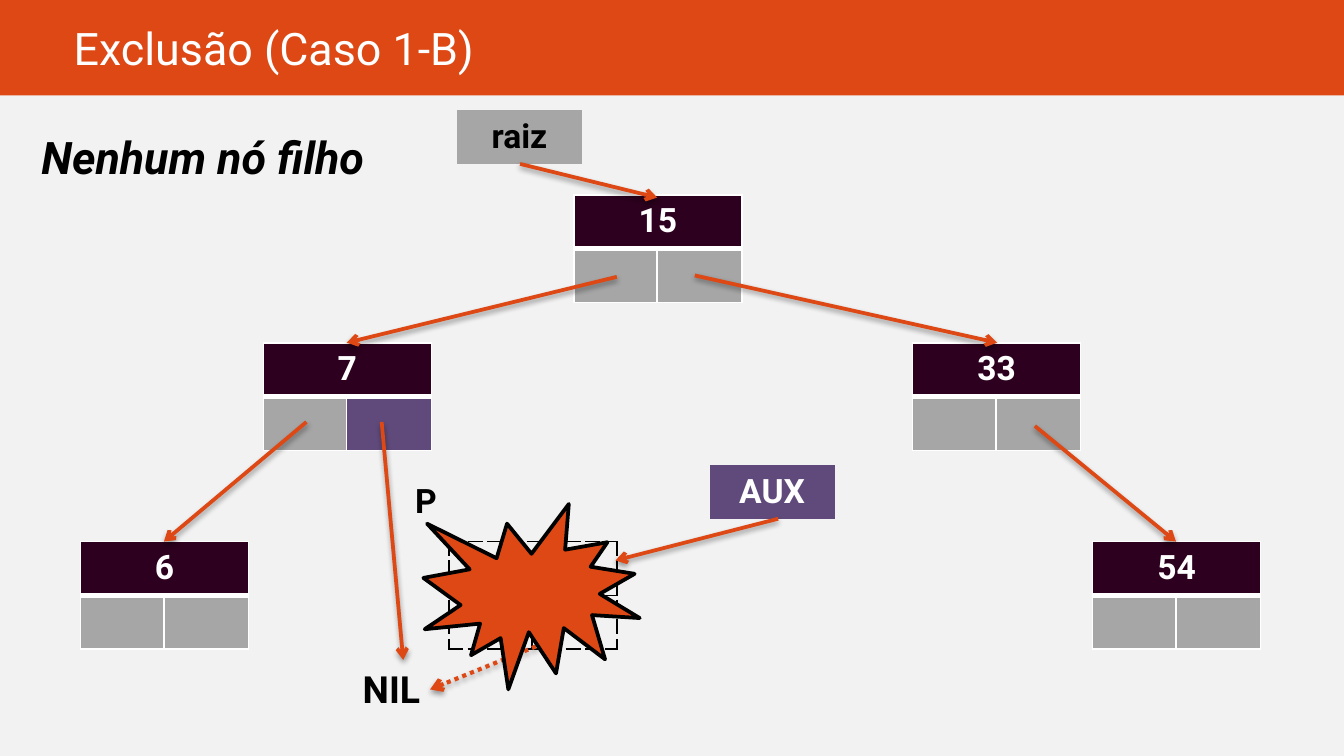
from dataclasses import dataclass

from lxml.etree import SubElement as Sub
from pptx import Presentation
from pptx.dml.color import RGBColor
from pptx.enum.dml import MSO_LINE as Dash
from pptx.enum.shapes import MSO_CONNECTOR as Conn, MSO_SHAPE as Shape
from pptx.enum.text import MSO_ANCHOR as Anchor, PP_ALIGN as Align
from pptx.oxml.ns import qn
from pptx.util import Inches, Pt


@dataclass(frozen=True)
class Theme:
    font: str = "Roboto"
    back: str = "F2F2F2"
    accent: str = "DD4814"
    dark: str = "2C001E"
    gray: str = "A6A6A6"
    purple: str = "604A7B"
    white: str = "FFFFFF"
    black: str = "000000"
    title: int = 24
    label: int = 20
    body: int = 18


T = Theme()
ROW = 0.4
NODES = [
    ("15", 4.27, 1.45, T.gray),
    ("7", 1.96, 2.55, T.purple),
    ("33", 6.79, 2.55, T.gray),
    ("6", 0.6, 4.03, T.gray),
    ("54", 8.13, 4.03, T.gray),
]
TAGS = [
    ("raiz", 3.4, 0.82, T.gray, T.black, Anchor.TOP),
    ("AUX", 5.28, 3.46, T.purple, T.white, Anchor.MIDDLE),
]
LINKS = [
    (4.59, 2.06, 2.58, 2.55),
    (3.87, 1.22, 4.89, 1.47),
    (2.28, 3.14, 1.22, 4.03),
    (2.84, 3.14, 3, 4.91),
    (7.7, 3.17, 8.75, 4.03),
    (5.17, 2.05, 7.42, 2.55),
    (5.79, 3.86, 4.58, 4.17),
]


def rgb(code):
    return RGBColor.from_string(code)


def paint(fill, code):
    fill.solid()
    fill.fore_color.rgb = rgb(code)


def style(para, size, color, bold=True, italic=False):
    font = para.font
    font.name, font.size = T.font, Pt(size)
    font.bold, font.italic = bold, italic
    font.color.rgb = rgb(color)


def add_text(slide, text, box, size, color=T.black, bold=True, italic=False, pad=None):
    frame = slide.shapes.add_textbox(*map(Inches, box)).text_frame
    frame.word_wrap = True
    if pad:
        frame.vertical_anchor = Anchor.MIDDLE
        frame.margin_left = frame.margin_right = Inches(pad)
        frame.margin_top = frame.margin_bottom = Inches(pad)
    para = frame.paragraphs[0]
    para.text = text
    style(para, size, color, bold, italic)


def add_shape(slide, kind, box, line=None):
    shape = slide.shapes.add_shape(kind, *map(Inches, box))
    shape.shadow.inherit = False
    paint(shape.fill, T.accent)
    if line:
        shape.line.color.rgb = rgb(line)
        shape.line.width = Pt(2)
    else:
        shape.line.fill.background()


def add_grid(slide, left, top, rows, widths):
    box = map(Inches, (left, top, sum(widths), rows * ROW))
    table = slide.shapes.add_table(rows, len(widths), *box).table
    table.first_row = table.horz_banding = False
    for col, width in zip(table.columns, widths):
        col.width = Inches(width)
    for cell in table.iter_cells():
        cell.fill.background()
        style(cell.text_frame.paragraphs[0], T.body, T.black)
    return table


def write(cell, text, fill, color):
    paint(cell.fill, fill)
    para = cell.text_frame.paragraphs[0]
    para.text = text
    para.alignment = Align.CENTER
    style(para, T.body, color)


def border(cell, color=None, dash="solid", **wide):
    props = cell._tc.get_or_add_tcPr()
    for spot, side in enumerate("LRTB"):
        line = Sub(props, qn("a:ln" + side), w=str(Pt(wide.get(side, 1))))
        if color:
            Sub(Sub(line, qn("a:solidFill")), qn("a:srgbClr"), val=color)
            Sub(line, qn("a:prstDash"), val=dash)
        else:
            Sub(line, qn("a:noFill"))
        props.insert(spot, line)


def add_node(slide, left, top, key=None, right=None):
    table = add_grid(slide, left, top, 2, (0.62, 0.63))
    table.cell(0, 0).merge(table.cell(0, 1))
    if key is None:
        for cell in table.iter_cells():
            border(cell, T.black, "sysDash")
        return
    write(table.cell(0, 0), key, T.dark, T.white)
    for col, fill in enumerate((T.gray, right)):
        paint(table.cell(1, col).fill, fill)
        border(table.cell(0, col), T.white, B=3)
        border(table.cell(1, col), T.white, T=3)


def add_tag(slide, text, left, top, fill, color, anchor):
    cell = add_grid(slide, left, top, 1, (0.93,)).cell(0, 0)
    cell.vertical_anchor = anchor
    write(cell, text, fill, color)
    border(cell)


def add_link(slide, ends, width=2, dash=None):
    link = slide.shapes.add_connector(Conn.STRAIGHT, *map(Inches, ends))
    link.line.color.rgb = rgb(T.accent)
    link.line.width = Pt(width)
    if dash:
        link.line.dash_style = dash
    Sub(link.line._get_or_add_ln(), qn("a:tailEnd"), type="arrow")
    effect = Sub(link._element.spPr, qn("a:effectLst"))
    shade = Sub(effect, qn("a:outerShdw"), blurRad=str(Pt(3.1)),
                dist=str(Pt(1.6)), dir="5400000", rotWithShape="0")
    Sub(Sub(shade, qn("a:srgbClr"), val=T.black), qn("a:alpha"), val="38000")


def main():
    deck = Presentation()
    deck.slide_width = Inches(10)
    deck.slide_height = deck.slide_width * 9 // 16
    slide = deck.slides.add_slide(deck.slide_layouts[6])
    paint(slide.background.fill, T.back)
    add_shape(slide, Shape.RECTANGLE, (0, 0, 10, 0.71))
    add_text(slide, "Exclusão (Caso 1-B)", (0.45, 0, 9.05, 0.71),
             T.title, T.white, bold=False, pad=0.1)
    add_text(slide, "Nenhum nó filho", (0.21, 0.81, 3, 0.71),
             T.title, italic=True, pad=0.1)
    for node in NODES:
        add_node(slide, *node[1:3], node[0], node[3])
    add_node(slide, 3.34, 4.03)
    for tag in TAGS:
        add_tag(slide, *tag)
    for ends in LINKS:
        add_link(slide, ends)
    add_link(slide, (4.16, 4.74, 3.2, 5.13), 2.25, Dash.ROUND_DOT)
    add_text(slide, "P", (2.99, 3.52, 0.36, 0.4), T.body)
    add_text(slide, "NIL", (2.6, 4.91, 0.78, 0.43), T.label)
    add_shape(slide, Shape.EXPLOSION1, (3.15, 3.75, 1.61, 1.38), T.black)
    deck.save("out.pptx")


if __name__ == "__main__":
    main()
